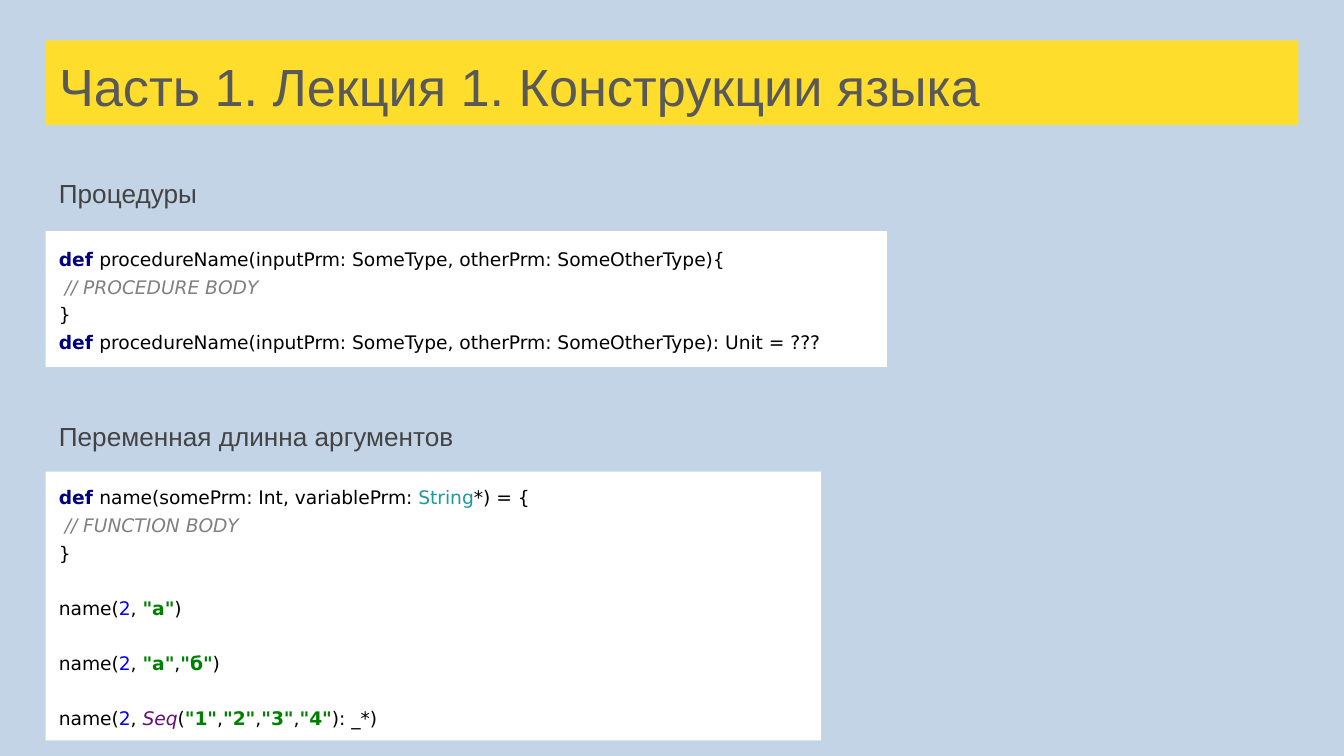
from pptx import Presentation
from pptx.dml.color import RGBColor
from pptx.enum.shapes import MSO_SHAPE
from pptx.enum.text import MSO_ANCHOR, MSO_AUTO_SIZE, PP_ALIGN
from pptx.util import Inches, Pt

RECT = MSO_SHAPE.RECTANGLE
TOP, MIDDLE = MSO_ANCHOR.TOP, MSO_ANCHOR.MIDDLE
NO_AUTOFIT = MSO_AUTO_SIZE.NONE
LEFT = PP_ALIGN.LEFT


class Theme:
    font, code_font = "Arial", "DejaVu Sans"
    title_size, heading_size, code_size = 28, 14, 10
    background, banner, panel = "C3D4E6", "FFDD2D", "FFFFFF"
    title, heading = "595959", "434343"
    # token: colour, bold, italic
    code = {
        "plain": ("000000", False, False),
        "keyword": ("000080", True, False),
        "comment": ("808080", False, True),
        "type": ("20999D", False, False),
        "number": ("0000FF", False, False),
        "string": ("008000", True, False),
        "object": ("660E7A", False, True),
    }


def setup_frame(shape, anchor):
    tf = shape.text_frame
    tf.word_wrap = True
    tf.auto_size = NO_AUTOFIT
    tf.vertical_anchor = anchor
    tf.margin_left = tf.margin_right = Inches(0.1)
    tf.margin_top = tf.margin_bottom = Inches(0.1)
    return tf


def add_run(p, text, font, size, color, bold=False, italic=False):
    r = p.add_run()
    r.text = text
    r.font.name, r.font.size = font, Pt(size)
    r.font.bold, r.font.italic = bold, italic
    r.font.color.rgb = RGBColor.from_string(color)


prs = Presentation()
prs.slide_width = Inches(10)
prs.slide_height = prs.slide_width * 9 // 16
s = prs.slides.add_slide(prs.slide_layouts[5])
s.background.fill.solid()
s.background.fill.fore_color.rgb = RGBColor.from_string(Theme.background)
margin = Inches(0.34)

# Title banner
title = s.shapes.title
title.left, title.top = margin, Inches(0.3)
title.width, title.height = Inches(9.32), Inches(0.63)
title.fill.solid()
title.fill.fore_color.rgb = RGBColor.from_string(Theme.banner)
p = setup_frame(title, TOP).paragraphs[0]
p.alignment = LEFT
add_run(p, "Часть 1. Лекция 1. Конструкции языка",
        Theme.font, Theme.title_size, Theme.title)

# Code lines: space before in points, then (text, token) pairs
signature = [("def ", "keyword"),
             ("procedureName(inputPrm: SomeType, otherPrm: SomeOtherType)", "plain")]
call = [("name(", "plain"), ("2", "number"), (", ", "plain")]
comma, close = (",", "plain"), ("}", "plain")
call_gap = 14.7

procedure_code = [
    (0, signature + [("{", "plain")]),
    (0, [(" ", "plain"), ("// PROCEDURE BODY", "comment")]),
    (0, [close]),
    (0, signature + [(": Unit = ???", "plain")]),
]
varargs_code = [
    (0, [("def ", "keyword"), ("name(somePrm: Int, variablePrm: ", "plain"),
         ("String", "type"), ("*) = {", "plain")]),
    (0, [(" ", "plain"), ("// FUNCTION BODY", "comment")]),
    (0, [close]),
    (call_gap, call + [('"a"', "string"), (")", "plain")]),
    (call_gap, call + [('"a"', "string"), comma, ('"б"', "string"), (")", "plain")]),
    (call_gap, call + [("Seq", "object"), ("(", "plain"),
                       ('"1"', "string"), comma, ('"2"', "string"), comma,
                       ('"3"', "string"), comma, ('"4"', "string"),
                       ("): _*)", "plain")]),
]

# heading, heading top, panel top, panel width, panel height, code
sections = [
    ("Процедуры", 1.22, 1.72, 6.26, 1.01, procedure_code),
    ("Переменная длинна аргументов", 3.03, 3.51, 5.77, 2, varargs_code),
]
for heading, heading_top, top, width, height, code in sections:
    box = s.shapes.add_textbox(margin, Inches(heading_top), Inches(4.07), Inches(0.48))
    add_run(setup_frame(box, TOP).paragraphs[0], heading,
            Theme.font, Theme.heading_size, Theme.heading)

    panel = s.shapes.add_shape(RECT, margin, Inches(top), Inches(width), Inches(height))
    panel.shadow.inherit = False
    panel.fill.solid()
    panel.fill.fore_color.rgb = RGBColor.from_string(Theme.panel)
    panel.line.fill.background()
    tf = setup_frame(panel, MIDDLE)
    for i, (gap, tokens) in enumerate(code):
        p = tf.add_paragraph() if i else tf.paragraphs[0]
        p.alignment = LEFT
        p.line_spacing = 1.15
        p.space_before, p.space_after = Pt(gap), Pt(1)
        for text, token in tokens:
            add_run(p, text, Theme.code_font, Theme.code_size, *Theme.code[token])

prs.save("out.pptx")
